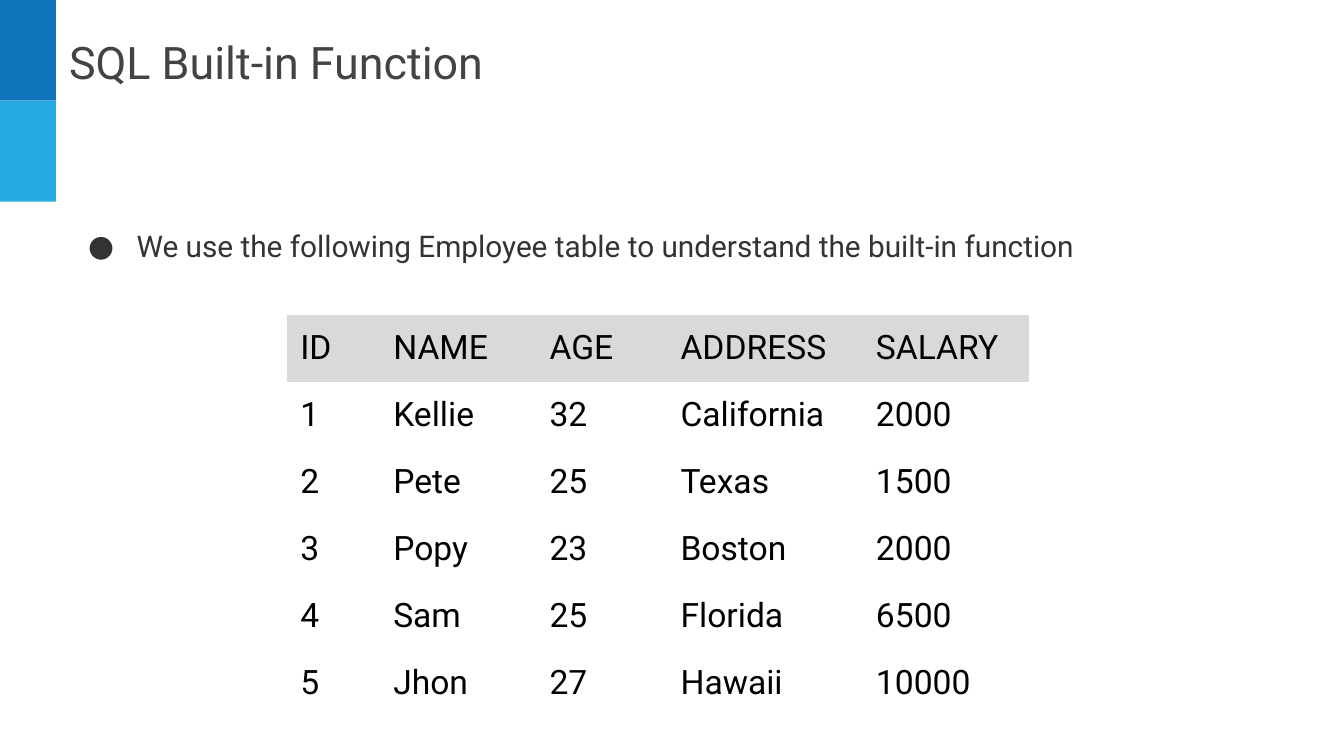
import pptx
import pptx.dml.color
import pptx.enum.shapes
import pptx.enum.text
import pptx.oxml
import pptx.oxml.ns
import pptx.util


def color(hex_string):
    return pptx.dml.color.RGBColor.from_string(hex_string)


class SlideBuilder:
    FONT = "Roboto"
    INSET = pptx.util.Inches(0.13)
    PLAIN_TABLE_STYLE = "{2D5ABB26-0587-4C30-8999-92F81FD0307C}"
    COLUMNS = 24
    ROWS = 15

    def __init__(self, deck):
        self.column = deck.slide_width / self.COLUMNS
        self.row = deck.slide_height / self.ROWS
        self.slide = deck.slides.add_slide(deck.slide_layouts[6])

    def place(self, left, top, width, height):
        return (
            round(left * self.column),
            round(top * self.row),
            round(width * self.column),
            round(height * self.row),
        )

    def set_insets(self, holder):
        holder.margin_left = holder.margin_right = self.INSET
        holder.margin_top = holder.margin_bottom = self.INSET

    def add_span(self, para, text, size, text_color):
        span = para.add_run()
        span.text = text
        span.font.name = self.FONT
        span.font.size = pptx.util.Pt(size)
        span.font.color.rgb = color(text_color)

    def block(self, area, fill):
        shape = self.slide.shapes.add_shape(
            pptx.enum.shapes.MSO_SHAPE.RECTANGLE, *self.place(*area)
        )
        shape.shadow.inherit = False
        shape.fill.solid()
        shape.fill.fore_color.rgb = color(fill)
        shape.line.fill.background()

    def text(self, area, text, size, text_color):
        box = self.slide.shapes.add_textbox(*self.place(*area))
        frame = box.text_frame
        frame.word_wrap = True
        frame.vertical_anchor = pptx.enum.text.MSO_ANCHOR.TOP
        self.set_insets(frame)
        para = frame.paragraphs[0]
        self.add_span(para, text, size, text_color)
        return para

    def bullet(self, area, text, size, text_color):
        para = self.text(area, text, size, text_color)
        para.line_spacing = 1.15
        properties = para._p.get_or_add_pPr()
        properties.set("marL", str(pptx.util.Inches(0.67)))
        properties.set("indent", str(pptx.util.Inches(-0.48)))
        namespace = pptx.oxml.ns.nsdecls("a")
        for markup in (
            f'<a:buClr {namespace}><a:srgbClr val="{text_color}"/></a:buClr>',
            f'<a:buFont {namespace} typeface="{self.FONT}"/>',
            f'<a:buChar {namespace} char="●"/>',
        ):
            properties.append(pptx.oxml.parse_xml(markup))

    def table(self, left, top, widths, row_height, records, size, text_color, header_fill):
        area = self.place(left, top, sum(widths), row_height * len(records))
        table = self.slide.shapes.add_table(len(records), len(widths), *area).table
        table.first_row = table.horz_banding = False
        style = table._tbl.tblPr.find(pptx.oxml.ns.qn("a:tableStyleId"))
        style.text = self.PLAIN_TABLE_STYLE
        for table_column, width in zip(table.columns, widths):
            table_column.width = round(width * self.column)
        for row_index, record in enumerate(records):
            table.rows[row_index].height = round(row_height * self.row)
            for column_index, value in enumerate(record):
                cell = table.cell(row_index, column_index)
                self.set_insets(cell)
                if row_index == 0:
                    cell.fill.solid()
                    cell.fill.fore_color.rgb = color(header_fill)
                else:
                    cell.fill.background()
                self.add_span(cell.text_frame.paragraphs[0], value, size, text_color)


EMPLOYEES = [
    ("ID", "NAME", "AGE", "ADDRESS", "SALARY"),
    ("1", "Kellie", "32", "California", "2000"),
    ("2", "Pete", "25", "Texas", "1500"),
    ("3", "Popy", "23", "Boston", "2000"),
    ("4", "Sam", "25", "Florida", "6500"),
    ("5", "Jhon", "27", "Hawaii", "10000"),
]


def main():
    deck = pptx.Presentation()
    deck.slide_width = pptx.util.Inches(13.33)
    deck.slide_height = pptx.util.Inches(7.5)
    page = SlideBuilder(deck)
    for index, fill in enumerate(("0F75BD", "25AAE2")):
        page.block((0, 2 * index, 1, 2), fill)
    page.bullet(
        (1, 4.16, 19.3, 1.22),
        "We use the following Employee table to understand the built-in function",
        21.3,
        "333333",
    )
    page.table(
        5.13, 6.25, (1.66, 2.79, 2.34, 3.49, 2.97), 1.33, EMPLOYEES, 24, "000000", "D9D9D9"
    )
    page.text((1, 0.42, 19.55, 1.54), "SQL Built-in Function", 32, "434343")
    deck.save("out.pptx")


if __name__ == "__main__":
    main()
